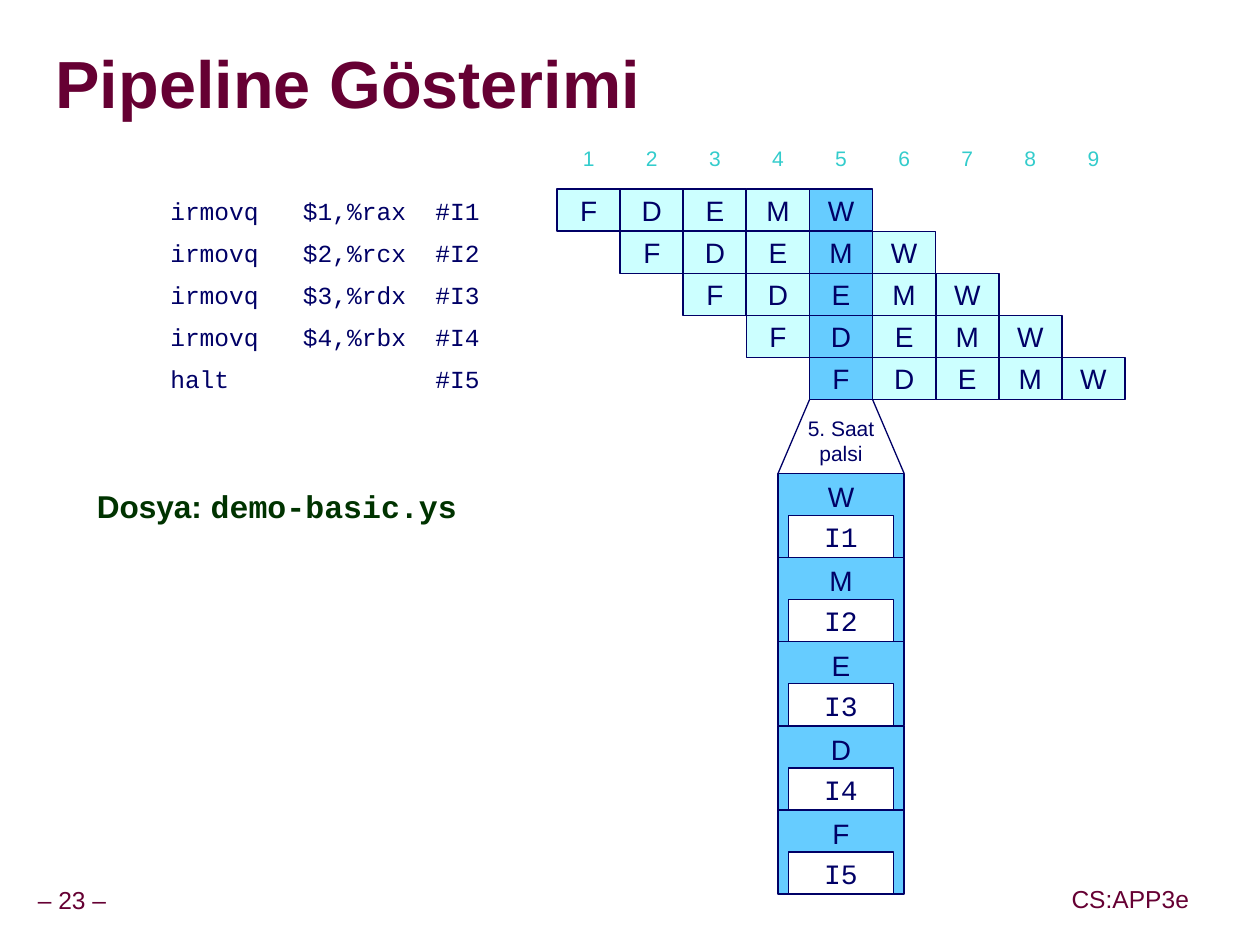
from dataclasses import dataclass

from lxml.etree import SubElement
from pptx import Presentation
from pptx.dml.color import RGBColor
from pptx.enum.shapes import MSO_CONNECTOR, MSO_SHAPE
from pptx.enum.text import MSO_ANCHOR, PP_ALIGN
from pptx.oxml import parse_xml
from pptx.oxml.ns import nsdecls, qn
from pptx.util import Cm, Pt


@dataclass(frozen=True)
class Theme:
    sans: str = "Arial"
    mono: str = "Courier New"
    maroon: str = "660033"
    green: str = "003300"
    navy: str = "000066"
    teal: str = "33CCCC"
    pale: str = "CCFFFF"
    highlight: str = "66CCFF"
    white: str = "FFFFFF"
    title_size: int = 38
    file_size: int = 18
    stage_size: int = 16
    code_size: int = 14
    small_size: int = 12


THEME = Theme()
STAGES = "FDEMW"
PROGRAM = (
    "irmovq   $1,%rax  #I1",
    "irmovq   $2,%rcx  #I2",
    "irmovq   $3,%rdx  #I3",
    "irmovq   $4,%rbx  #I4",
    "halt              #I5",
)
CYCLES = 9
SHOWN_CYCLE = 5

# Lengths in centimetres
CELL = 1.27
ROW = 2.54 / 3
GRID_LEFT, GRID_TOP = 11.22, 3.81
GRID_BOTTOM = GRID_TOP + len(PROGRAM) * ROW
SHOWN_LEFT = GRID_LEFT + (SHOWN_CYCLE - 1) * CELL
DETAIL_LEFT, DETAIL_TOP = SHOWN_LEFT - CELL / 2, 9.53
DETAIL_WIDTH = 2 * CELL
LATCH_MARGIN = 0.21


def style_run(run, size, color, font=THEME.sans, bold=False):
    run.font.name = font
    run.font.size = Pt(size)
    run.font.bold = bold
    run.font.color.rgb = RGBColor.from_string(color)


def add_label(slide, text, left, top, width, height, size, color, *,
              bold=False, align=PP_ALIGN.CENTER, anchor=MSO_ANCHOR.MIDDLE,
              spacing=1.0, wrap=False, inset=0.13):
    shape = slide.shapes.add_textbox(Cm(left), Cm(top), Cm(width), Cm(height))
    frame = shape.text_frame
    frame.word_wrap = wrap
    frame.vertical_anchor = anchor
    frame.margin_left = frame.margin_right = Cm(inset)
    frame.margin_top = frame.margin_bottom = Cm(min(inset, 0.13))
    frame.text = text
    paragraph = frame.paragraphs[0]
    paragraph.alignment = align
    paragraph.line_spacing = spacing
    style_run(paragraph.runs[0], size, color, bold=bold)
    return shape


def add_box(slide, text, left, top, width, height, fill, size, *,
            color=THEME.navy, font=THEME.sans, line=None,
            align=PP_ALIGN.CENTER, anchor=MSO_ANCHOR.MIDDLE):
    """Add a filled rectangle; line is the outline width in points."""
    shape = slide.shapes.add_shape(
        MSO_SHAPE.RECTANGLE, Cm(left), Cm(top), Cm(width), Cm(height))
    shape.shadow.inherit = False
    shape.fill.solid()
    shape.fill.fore_color.rgb = RGBColor.from_string(fill)
    if line is None:
        shape.line.fill.background()
    else:
        shape.line.color.rgb = RGBColor.from_string(THEME.navy)
        shape.line.width = Pt(line)
    frame = shape.text_frame
    frame.word_wrap = False
    frame.vertical_anchor = anchor
    frame.text = text
    paragraph = frame.paragraphs[0]
    paragraph.alignment = align
    style_run(paragraph.runs[0], size, color, font)


def add_line(slide, start, end):
    connector = slide.shapes.add_connector(
        MSO_CONNECTOR.STRAIGHT, *(Cm(value) for value in (*start, *end)))
    connector.line.color.rgb = RGBColor.from_string(THEME.navy)
    connector.line.width = Pt(0.75)
    SubElement(connector._element.spPr, qn("a:effectLst"))


def add_title(slide):
    """Add the heading with its grey text shadow."""
    shape = add_label(slide, "Pipeline Gösterimi", 1.12, 0.69, 24.18, 2.16,
                      THEME.title_size, THEME.maroon, bold=True,
                      align=PP_ALIGN.LEFT, spacing=0.87, wrap=True, inset=0)
    properties = shape.text_frame.paragraphs[0].runs[0].font._element
    shadow = parse_xml(
        f'<a:effectLst {nsdecls("a")}>'
        '<a:outerShdw dist="53882" dir="2700000">'
        '<a:srgbClr val="969696"/></a:outerShdw></a:effectLst>')
    properties.find(qn("a:solidFill")).addnext(shadow)


def add_file_name(slide):
    shape = add_label(slide, "Dosya: ", 1.7, 9.73, 8.46, 1.47,
                      THEME.file_size, THEME.green, bold=True,
                      align=PP_ALIGN.LEFT, anchor=MSO_ANCHOR.TOP,
                      spacing=0.95, wrap=True, inset=0.25)
    run = shape.text_frame.paragraphs[0].add_run()
    run.text = "demo-basic.ys"
    style_run(run, THEME.file_size, THEME.green, THEME.mono, bold=True)


def add_pipeline(slide):
    """Add the cycle numbers, the code and one shifted row of stages per instruction."""
    for cycle in range(CYCLES):
        add_box(slide, str(cycle + 1), GRID_LEFT + cycle * CELL, 2.75,
                CELL, ROW, THEME.white, THEME.small_size, color=THEME.teal)
    for row, code in enumerate(PROGRAM):
        top = GRID_TOP + row * ROW
        add_box(slide, code, 3.18, top, 7.2, ROW, THEME.white,
                THEME.code_size, font=THEME.mono, align=PP_ALIGN.LEFT)
        for cycle, stage in enumerate(STAGES, start=row):
            shown = cycle + 1 == SHOWN_CYCLE
            add_box(slide, stage, GRID_LEFT + cycle * CELL, top, CELL, ROW,
                    THEME.highlight if shown else THEME.pale,
                    THEME.stage_size, line=1)


def add_cycle_detail(slide):
    """Add the enlarged view of the highlighted cycle."""
    add_line(slide, (SHOWN_LEFT, GRID_BOTTOM), (DETAIL_LEFT, DETAIL_TOP))
    add_line(slide, (SHOWN_LEFT + CELL, GRID_BOTTOM),
             (DETAIL_LEFT + DETAIL_WIDTH, DETAIL_TOP))
    add_label(slide, "5. Saat palsi", DETAIL_LEFT, 8.23, DETAIL_WIDTH, 1.3,
              THEME.small_size, THEME.navy, anchor=MSO_ANCHOR.TOP,
              wrap=True, inset=0.25)
    for index, stage in enumerate(reversed(STAGES)):
        top = DETAIL_TOP + index * 2 * ROW
        add_box(slide, stage, DETAIL_LEFT, top, DETAIL_WIDTH, 2 * ROW,
                THEME.highlight, THEME.stage_size, line=0.75,
                anchor=MSO_ANCHOR.TOP)
        add_box(slide, f"I{index + 1}", DETAIL_LEFT + LATCH_MARGIN, top + ROW,
                DETAIL_WIDTH - 2 * LATCH_MARGIN, ROW, THEME.white,
                THEME.stage_size, font=THEME.mono, line=0.75)


def add_footer(slide):
    for text, left, top, width in (("– 23 –", 0.61, 17.75, 1.68),
                                   ("CS:APP3e", 21.44, 17.73, 2.64)):
        add_label(slide, text, left, top, width, 0.8,
                  THEME.code_size, THEME.maroon, spacing=0.9)


def main():
    presentation = Presentation()
    presentation.slide_width = Cm(25.37)
    presentation.slide_height = Cm(19.02)
    slide = presentation.slides.add_slide(presentation.slide_layouts[6])
    add_footer(slide)
    add_title(slide)
    add_file_name(slide)
    add_pipeline(slide)
    add_cycle_detail(slide)
    presentation.save("out.pptx")


if __name__ == "__main__":
    main()
